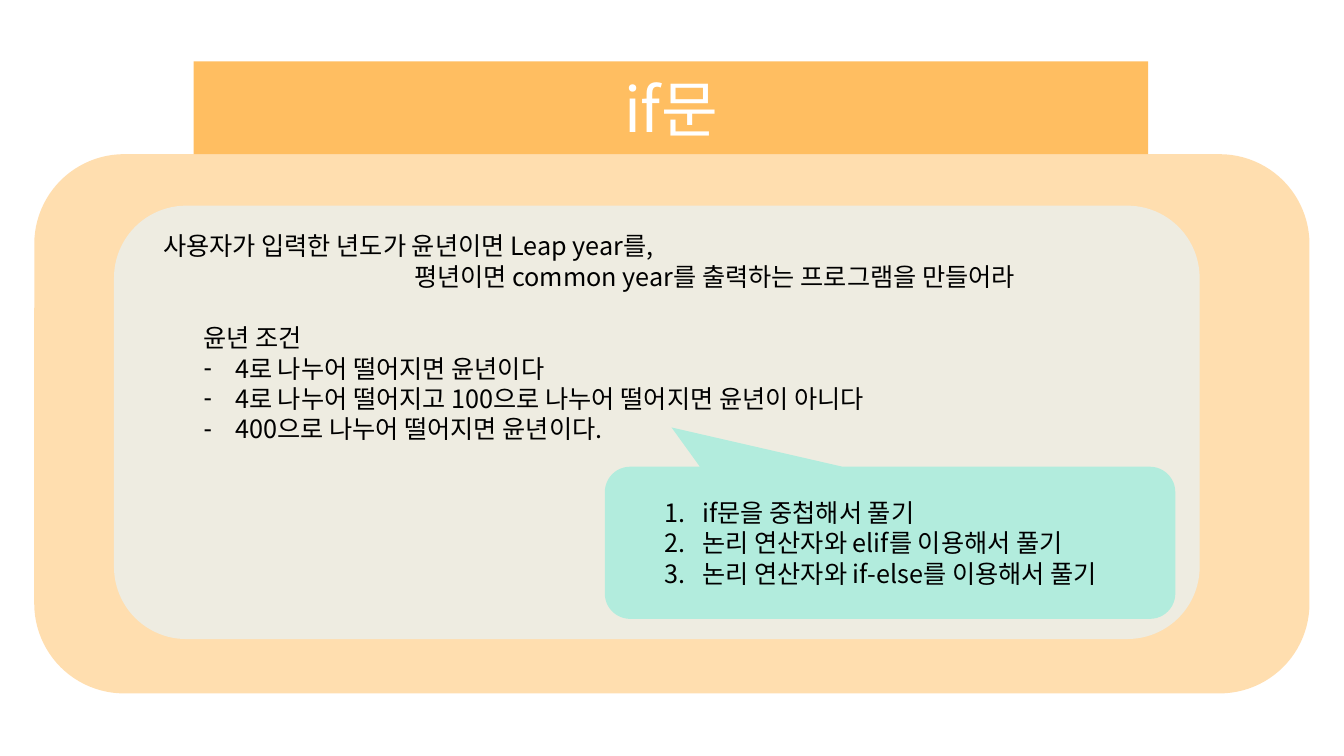
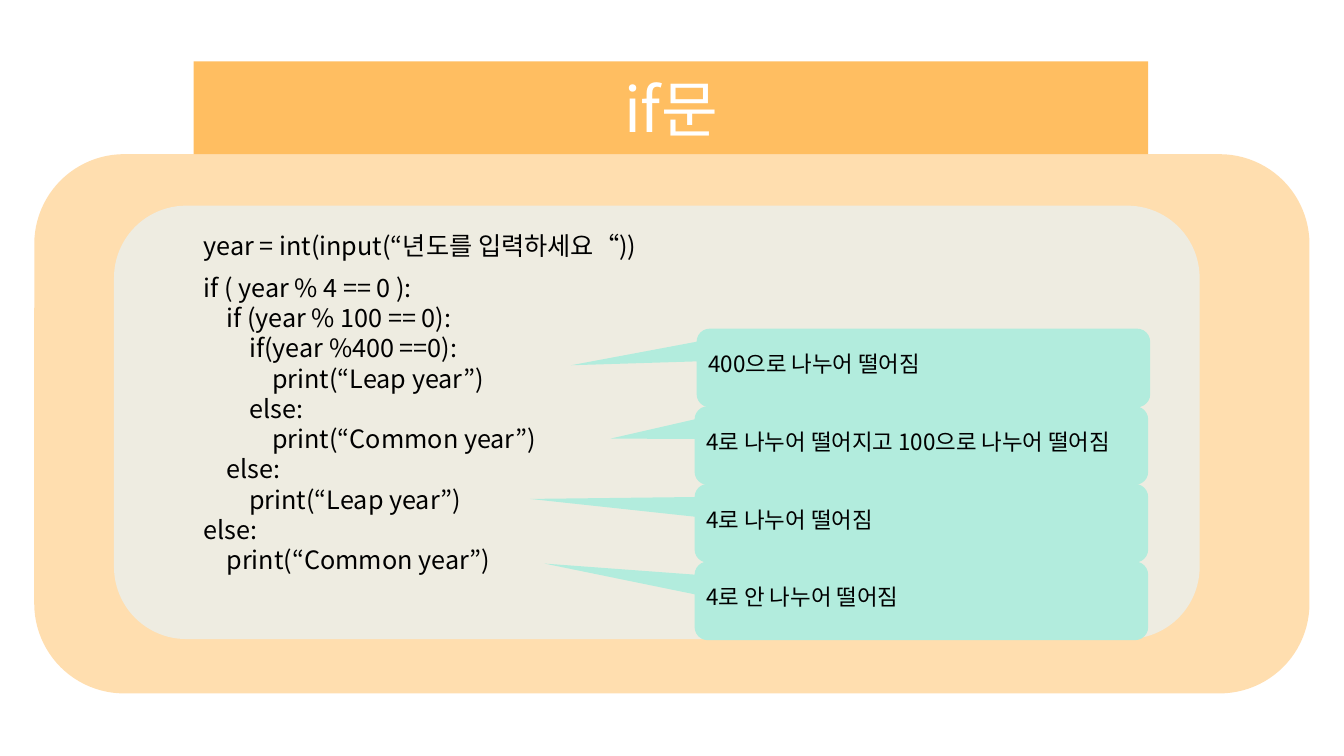
from lxml.etree import SubElement
from pptx import Presentation
from pptx.dml.color import RGBColor
from pptx.enum.shapes import MSO_SHAPE as Shp
from pptx.enum.text import MSO_ANCHOR as Anchor, MSO_AUTO_SIZE as Auto, PP_ALIGN as Align
from pptx.oxml.ns import qn
from pptx.util import Inches, Pt

FONT = "Noto Sans CJK KR"
ORANGE = RGBColor(0xFF, 0xBE, 0x61)
CREAM = RGBColor(0xEE, 0xEC, 0xE1)
MINT = RGBColor(0xB2, 0xEC, 0xDD)
WHITE = RGBColor(0xFF, 0xFF, 0xFF)
BLACK = RGBColor(0, 0, 0)

prs = Presentation()
prs.slide_width, prs.slide_height = Inches(13.33), Inches(7.5)
COL, ROW = prs.slide_width / 100, prs.slide_height / 100

TITLE = (14.4, 8.13, 71.03, 12.27)
PANELS = [
    ((2.55, 20.4, 94.88, 71.33), ORANGE, 50000),
    ((8.48, 27.2, 80.78, 57.33), CREAM, 100000),
]
HANGING = {"": 0, "-": 2.34, "1.": 2.81}
LEVEL = 1.7


def grid(x, y, w, h):
    return int(x * COL), int(y * ROW), int(w * COL), int(h * ROW)


def write(tf, lines, size=18, color=BLACK, align=Align.LEFT):
    tf.word_wrap = True
    tf.auto_size = Auto.NONE
    tf.text = "\n".join(text for _, _, text in lines)
    for p, (indent, bullet, _) in zip(tf.paragraphs, lines):
        p.alignment = align
        p.space_before = Pt(0)
        pPr = p._p.get_or_add_pPr()
        hang = HANGING[bullet]
        pPr.set("marL", str(int((indent + hang) * COL)))
        pPr.set("indent", str(int(-hang * COL)))
        if bullet == "-":
            SubElement(pPr, qn("a:buChar"), char="-")
        elif bullet:
            SubElement(pPr, qn("a:buAutoNum"), type="arabicPeriod")
        else:
            SubElement(pPr, qn("a:buNone"))
        for r in p.runs:
            r.font.size = Pt(size)
            r.font.name = FONT
            r.font.color.rgb = color
            SubElement(r._r.get_or_add_rPr(), qn("a:ea"), typeface=FONT)


branches = [
    (51.83, -0.777, -0.034, "400으로 나누어 떨어짐"),
    (51.68, -0.685, -0.089, "4로 나누어 떨어지고 100으로 나누어 떨어짐"),
    (51.68, -0.863, -0.309, "4로 나누어 떨어짐"),
    (51.68, -0.831, -0.474, "4로 안 나누어 떨어짐"),
]

slides = [
    {
        "intro": ((11.4, 29.87, 74.85, 9.47), [
            (0, "", "사용자가 입력한 년도가 윤년이면 Leap year를,"),
            (18.67, "", "평년이면 common year를 출력하는 프로그램을 만들어라"),
        ]),
        "body": ((14.4, 42, 57.98, 17.47), [
            (0, "", "윤년 조건"),
            (0, "-", "4로 나누어 떨어지면 윤년이다"),
            (0, "-", "4로 나누어 떨어지고 100으로 나누어 떨어지면 윤년이 아니다"),
            (0, "-", "400으로 나누어 떨어지면 윤년이다."),
        ]),
        "callouts": [
            ((45, 61.73, 42.45, 20.13), (-0.383, -0.758), 18, (0.52, 0.05), [
                (0, "1.", "if문을 중첩해서 풀기"),
                (0, "1.", "논리 연산자와 elif를 이용해서 풀기"),
                (0, "1.", "논리 연산자와 if-else를 이용해서 풀기"),
            ]),
        ],
    },
    {
        "intro": ((14.4, 29.87, 36, 5.33), [
            (0, "", "year = int(input(“년도를 입력하세요“))"),
        ]),
        "body": ((14.4, 35.33, 37.43, 45.73), [
            (level * LEVEL, "", code) for level, code in [
                (0, "if ( year % 4 == 0 ):"),
                (1, "if (year % 100 == 0):"),
                (2, "if(year %400 ==0):"),
                (3, "print(“Leap year”)"),
                (2, "else:"),
                (3, "print(“Common year”)"),
                (1, "else:"),
                (2, "print(“Leap year”)"),
                (0, "else:"),
                (1, "print(“Common year”)"),
            ]
        ]),
        "callouts": [
            ((x, 43.47 + 10.27 * i, 33.75, 10.4), (tip_x, tip_y), 16, (0.08, 0.13),
             [(0, "", text)])
            for i, (x, tip_x, tip_y, text) in enumerate(branches)
        ],
    },
]

for content in slides:
    s = prs.slides.add_slide(prs.slide_layouts[1])

    title = s.shapes.title
    title.left, title.top, title.width, title.height = grid(*TITLE)
    SubElement(title.element.spPr, qn("a:prstGeom"), prst="roundRect")
    title.fill.solid()
    title.fill.fore_color.rgb = ORANGE
    write(title.text_frame, [(0, "", "if문")], 44, WHITE, Align.CENTER)
    title.text_frame.vertical_anchor = Anchor.MIDDLE

    for area, color, alpha in PANELS:
        sp = s.shapes.add_shape(Shp.ROUNDED_RECTANGLE, *grid(*area))
        sp.shadow.inherit = False
        sp.line.fill.background()
        sp.fill.solid()
        sp.fill.fore_color.rgb = color
        tint = sp.element.spPr.find(qn("a:solidFill"))[0]
        SubElement(tint, qn("a:alpha"), val=str(alpha))

    area, lines = content["intro"]
    write(s.shapes.add_textbox(*grid(*area)).text_frame, lines)

    area, lines = content["body"]
    body = s.placeholders[1]
    body.left, body.top, body.width, body.height = grid(*area)
    write(body.text_frame, lines)
    s.shapes.element.append(body.element)

    for area, tip, size, (left, bottom), lines in content["callouts"]:
        sp = s.shapes.add_shape(Shp.ROUNDED_RECTANGULAR_CALLOUT, *grid(*area))
        sp.adjustments[0], sp.adjustments[1] = tip
        sp.shadow.inherit = False
        sp.line.fill.background()
        sp.fill.solid()
        sp.fill.fore_color.rgb = MINT
        tf = sp.text_frame
        write(tf, lines, size)
        tf.vertical_anchor = Anchor.MIDDLE
        tf.margin_left, tf.margin_right = Inches(left), Inches(0)
        tf.margin_bottom = Inches(bottom)

prs.save("out.pptx")
